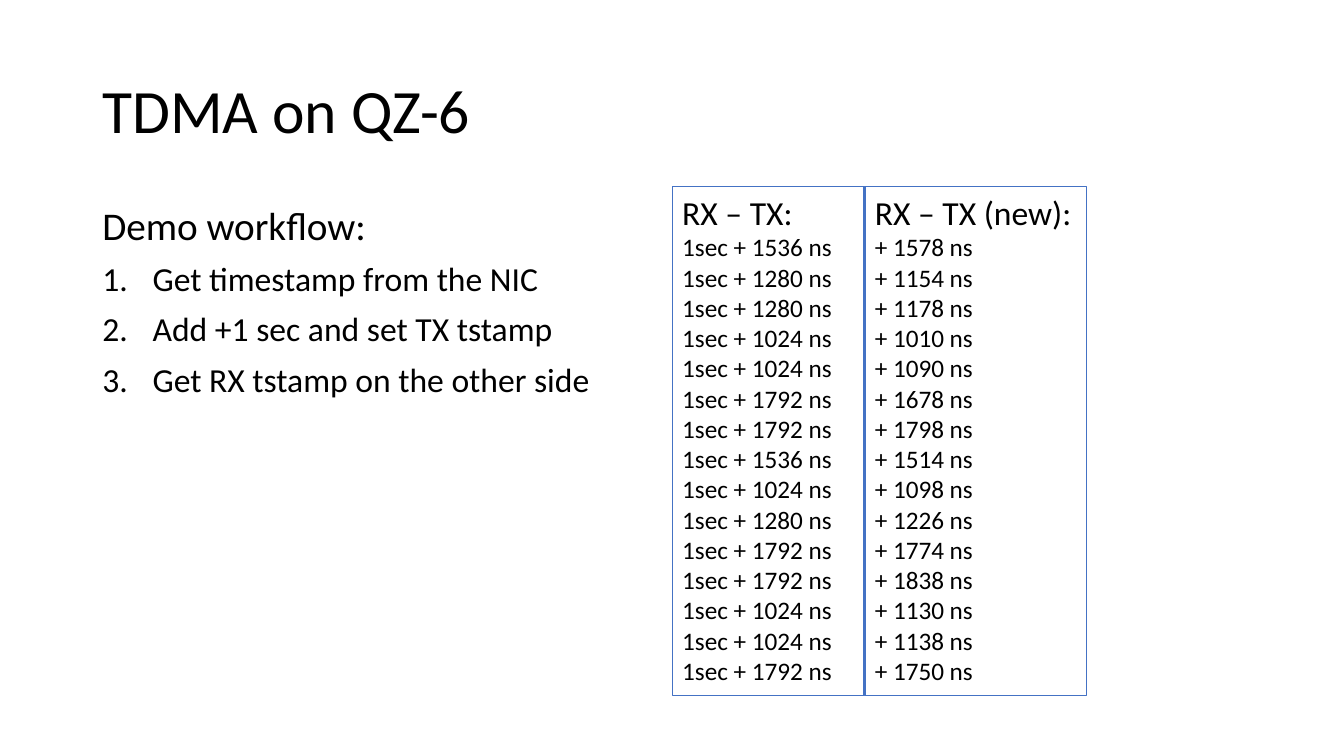
"""Build the TDMA demo slide with its workflow and two timing columns."""
import pptx
import pptx.dml.color
import pptx.enum.shapes
import pptx.enum.text
import pptx.oxml.xmlchemy
import pptx.util
from lxml import etree

Pt = pptx.util.Pt
ANCHOR = pptx.enum.text.MSO_ANCHOR
ALIGN = pptx.enum.text.PP_ALIGN

STEPS = [
    "Get timestamp from the NIC",
    "Add +1 sec and set TX tstamp",
    "Get RX tstamp on the other side",
]
DELAYS = [1536, 1280, 1280, 1024, 1024, 1792, 1792, 1536,
          1024, 1280, 1792, 1792, 1024, 1024, 1792]
NEW_DELAYS = [1578, 1154, 1178, 1010, 1090, 1678, 1798, 1514,
              1098, 1226, 1774, 1838, 1130, 1138, 1750]


def color(hex_code):
    """Turn a hex string into a colour."""
    return pptx.dml.color.RGBColor.from_string(hex_code)


def style(paragraph, size, line_spacing=1.0, space_before=0):
    """Set the font and spacing of a left-aligned paragraph."""
    paragraph.font.name = "Calibri"
    paragraph.font.size = Pt(size)
    paragraph.font.color.rgb = color("000000")
    paragraph.alignment = ALIGN.LEFT
    paragraph.line_spacing = line_spacing
    paragraph.space_before = Pt(space_before)


def number(paragraph, indent):
    """Give a paragraph an automatic number with a hanging indent."""
    properties = paragraph._p.get_or_add_pPr()
    properties.set("marL", str(Pt(indent)))
    properties.set("indent", str(-Pt(indent)))
    numbering = etree.SubElement(properties, pptx.oxml.ns.qn("a:buAutoNum"))
    numbering.set("type", "arabicPeriod")


def add_title(slide, text):
    """Place and format the title placeholder."""
    title = slide.shapes.title
    title.left, title.top, title.width, title.height = Pt(66), Pt(28.75), Pt(828), Pt(104.4)
    title.text_frame.text = text
    title.text_frame.vertical_anchor = ANCHOR.MIDDLE
    style(title.text_frame.paragraphs[0], 44, 0.9)


def add_workflow(slide, heading, steps):
    """Add a heading with numbered steps below it."""
    frame = slide.shapes.add_textbox(Pt(66), Pt(143.75), Pt(365), Pt(342.6)).text_frame
    frame.word_wrap = True
    frame.text = heading
    style(frame.paragraphs[0], 28, 0.9, 10)
    for step in steps:
        paragraph = frame.add_paragraph()
        paragraph.text = step
        style(paragraph, 24, 0.9, 10)
        number(paragraph, 36)


def add_timings(slide, left, width, heading, timings):
    """Add an outlined box with a heading and one timing per line."""
    box = slide.shapes.add_shape(
        pptx.enum.shapes.MSO_SHAPE.RECTANGLE, Pt(left), Pt(133.2), Pt(width), Pt(363.6))
    box.shadow.inherit = False
    box.fill.solid()
    box.fill.fore_color.rgb = color("FFFFFF")
    box.line.color.rgb = color("4472C4")
    box.line.width = Pt(1)
    frame = box.text_frame
    frame.word_wrap = True
    frame.auto_size = pptx.enum.text.MSO_AUTO_SIZE.SHAPE_TO_FIT_TEXT
    frame.vertical_anchor = ANCHOR.TOP
    frame.text = "\n".join([heading, *timings])
    for index, paragraph in enumerate(frame.paragraphs):
        style(paragraph, 18 if index else 24)


def main():
    """Build and save the slide."""
    deck = pptx.Presentation()
    deck.slide_width, deck.slide_height = Pt(960), Pt(540)
    slide = deck.slides.add_slide(deck.slide_layouts[5])
    add_title(slide, "TDMA on QZ-6")
    add_workflow(slide, "Demo workflow:", STEPS)
    add_timings(slide, 480.2, 137, "RX – TX:", [f"1sec + {delay} ns" for delay in DELAYS])
    add_timings(slide, 617.8, 158.4, "RX – TX (new):", [f"+ {delay} ns" for delay in NEW_DELAYS])
    deck.save("out.pptx")


main()
